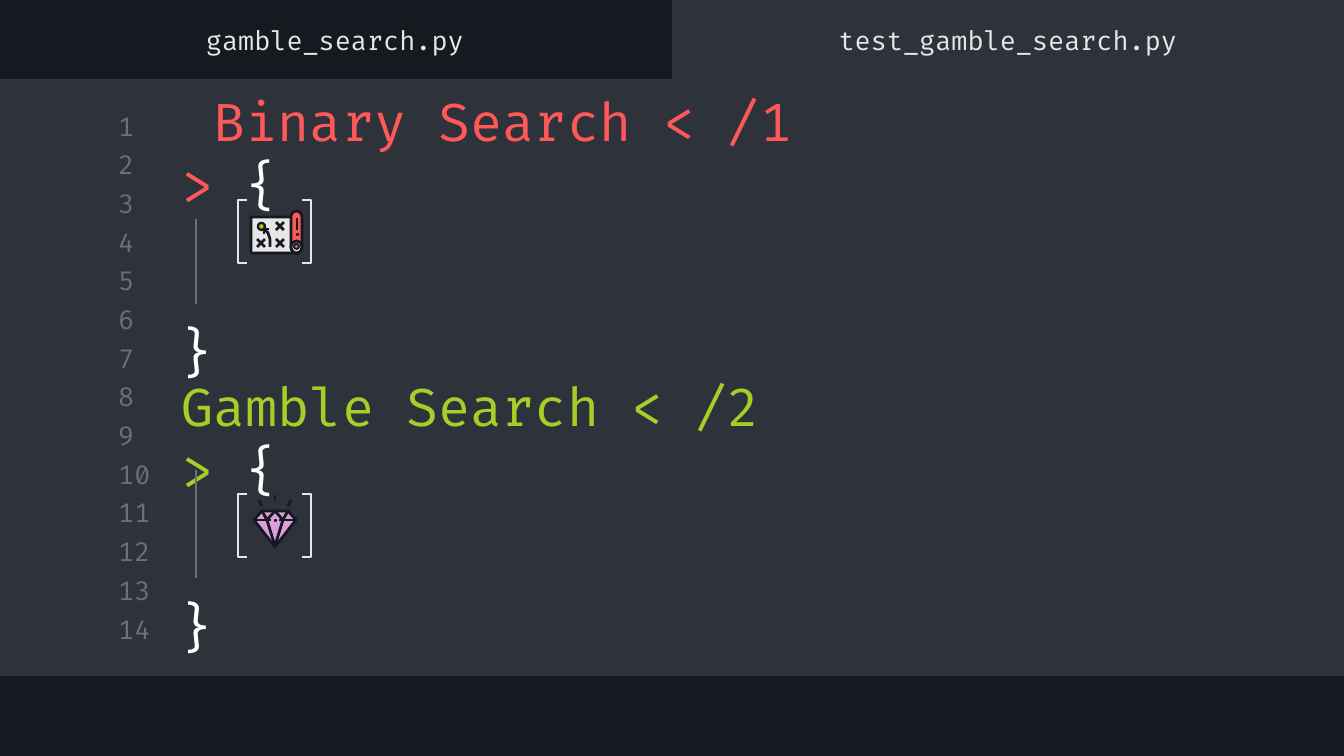
from lxml import etree
from pptx import Presentation
from pptx.dml.color import RGBColor
from pptx.enum.shapes import MSO_CONNECTOR, MSO_SHAPE as SHAPE
from pptx.enum.text import MSO_ANCHOR as ANCHOR, MSO_AUTO_SIZE, PP_ALIGN as ALIGN
from pptx.oxml.ns import qn
from pptx.util import Emu, Inches, Pt

PX = 914400 / 134.4
FONT = "Fira Code"
C = {"dark": "16191F", "panel": "2E323B", "grey": "707070", "light": "E7E7E7",
     "white": "FFFFFF", "red": "FF5858", "green": "A5CF27", "pink": "DBA0DB"}

PANELS = [(0, 79, 1344, 597), (672, 0, 672, 87)]
TABS = [("gamble_search.py", -1), ("test_gamble_search.py", 672)]
LINE_COUNT, LINE_TOP, LINE_SPAN = 14, 110, 503
HEADINGS = [(" Binary Search < /1 > ", "red", (168, 113, 685, 78)),
            ("Gamble Search < /2 > ", "green", (168, 398, 665, 78))]
BLOCKS = [{"bracket": 200, "guide": (219, 304), "brace": (306, 71)},
          {"bracket": 494, "guide": (470, 578), "brace": (581, 90)}]

MAP_PAPER = [(251, 217), (292, 217), (292, 246), (297, 253), (251, 253)]
MAP_ARROW = [[(264, 229), (268, 233), (270, 239), (270, 247)],
             [(264, 234), (264, 229), (269, 229)]]
MAP_CROSSES = [(280, 226), (280, 243), (261, 243)]
MAP_MARK = [(297, 218), (297, 230)]
GEM = [(262, 511), (288, 511), (296, 520), (275, 547), (254, 520)]
GEM_LINES = [[(262, 511), (267, 520), (275, 546), (283, 520), (288, 511)],
             [(267, 520), (275, 511), (283, 520)],
             [(255, 520), (271, 520)], [(279, 520), (295, 520)],
             [(275, 495), (275, 501)], [(259, 500), (262, 506)],
             [(291, 500), (288, 506)]]

prs = Presentation()
prs.slide_width, prs.slide_height = Emu(round(1344 * PX)), Emu(round(756 * PX))
s = prs.slides.add_slide(prs.slide_layouts[0])


def rgb(name):
    return RGBColor.from_string(C[name])


def emu(box):
    return [Emu(round(v * PX)) for v in box]


def paint(sp, fill=None, line=None, width=0.75):
    sp.shadow.inherit = False
    if fill:
        sp.fill.solid()
        sp.fill.fore_color.rgb = rgb(fill)
    else:
        sp.fill.background()
    if line:
        sp.line.color.rgb = rgb(line)
        sp.line.width = Pt(width)
    else:
        sp.line.fill.background()
    return sp


def preset(kind, box, **look):
    return paint(s.shapes.add_shape(kind, *emu(box)), **look)


def outline(points, fill=None, close=False):
    fb = s.shapes.build_freeform(*points[0], scale=PX)
    fb.add_line_segments(points[1:], close=close)
    return paint(fb.convert_to_shape(), fill, "dark", 1.5)


def write(sp, runs, size, align=ALIGN.LEFT, anchor=ANCHOR.MIDDLE):
    tf = sp.text_frame
    tf.word_wrap = True
    tf.auto_size = MSO_AUTO_SIZE.NONE
    tf.vertical_anchor = anchor
    tf.margin_left = tf.margin_right = tf.margin_top = tf.margin_bottom = Inches(0.1)
    p = tf.paragraphs[0]
    p.alignment = align
    p.space_before = Pt(0)
    for text, color in runs:
        r = p.add_run()
        r.text = text
        r.font.name, r.font.size = FONT, Pt(size)
        r.font.color.rgb = rgb(color)


def label(text, box, color, size=14, **layout):
    write(s.shapes.add_textbox(*emu(box)), [(text, color)], size, **layout)


s.background.fill.solid()
s.background.fill.fore_color.rgb = rgb("dark")
for box in PANELS:
    preset(SHAPE.RECTANGLE, box, fill="panel")

for i in range(LINE_COUNT):
    top = LINE_TOP + i * LINE_SPAN // (LINE_COUNT - 1)
    label(str(i + 1), (105, top, 63, 32), "grey")

for sp, (text, color, box) in zip(s.placeholders, HEADINGS):
    s.shapes.element.append(sp.element)
    sp.left, sp.top, sp.width, sp.height = emu(box)
    write(sp, [(text, color), ("{", "white")], 28)

for block in BLOCKS:
    for x, flip in ((302, "1"), (238, "0")):
        sp = preset(SHAPE.LEFT_BRACKET, (x, block["bracket"], 9, 63), line="light")
        sp.adjustments[0] = 0
        sp.element.spPr.find(qn("a:xfrm")).set("flipH", flip)
    y1, y2 = block["guide"]
    guide = s.shapes.add_connector(MSO_CONNECTOR.STRAIGHT, *emu((196, y1, 196, y2)))
    guide.line.color.rgb = rgb("grey")
    guide.line.width = Pt(0.75)
    etree.SubElement(guide.element.spPr, qn("a:effectLst"))
    top, height = block["brace"]
    label("}", (160, top, 74, height), "white", 28, align=ALIGN.CENTER, anchor=ANCHOR.TOP)

outline(MAP_PAPER, "light", True)
roll = preset(SHAPE.ROUNDED_RECTANGLE, (291, 211, 11, 42), fill="red", line="dark", width=1.5)
roll.adjustments[0] = 0.5
preset(SHAPE.OVAL, (291, 241, 11, 12), fill="light", line="dark", width=1.5)
preset(SHAPE.OVAL, (294, 244, 5, 5), fill="red", line="dark", width=1)
preset(SHAPE.OVAL, (258, 223, 7, 7), fill="green", line="dark", width=1.25)
preset(SHAPE.OVAL, (296, 233, 3, 3), fill="dark")
strokes = [MAP_MARK] + MAP_ARROW
for x, y in MAP_CROSSES:
    strokes += [[(x - 4, y - 4), (x + 4, y + 4)], [(x - 4, y + 4), (x + 4, y - 4)]]

outline(GEM, "pink", True)
preset(SHAPE.OVAL, (274, 519, 3, 3), fill="dark")
for points in strokes + GEM_LINES:
    outline(points)

for text, x in TABS:
    label(text, (x, 14, 672, 53), "light", align=ALIGN.CENTER)

prs.save("out.pptx")
